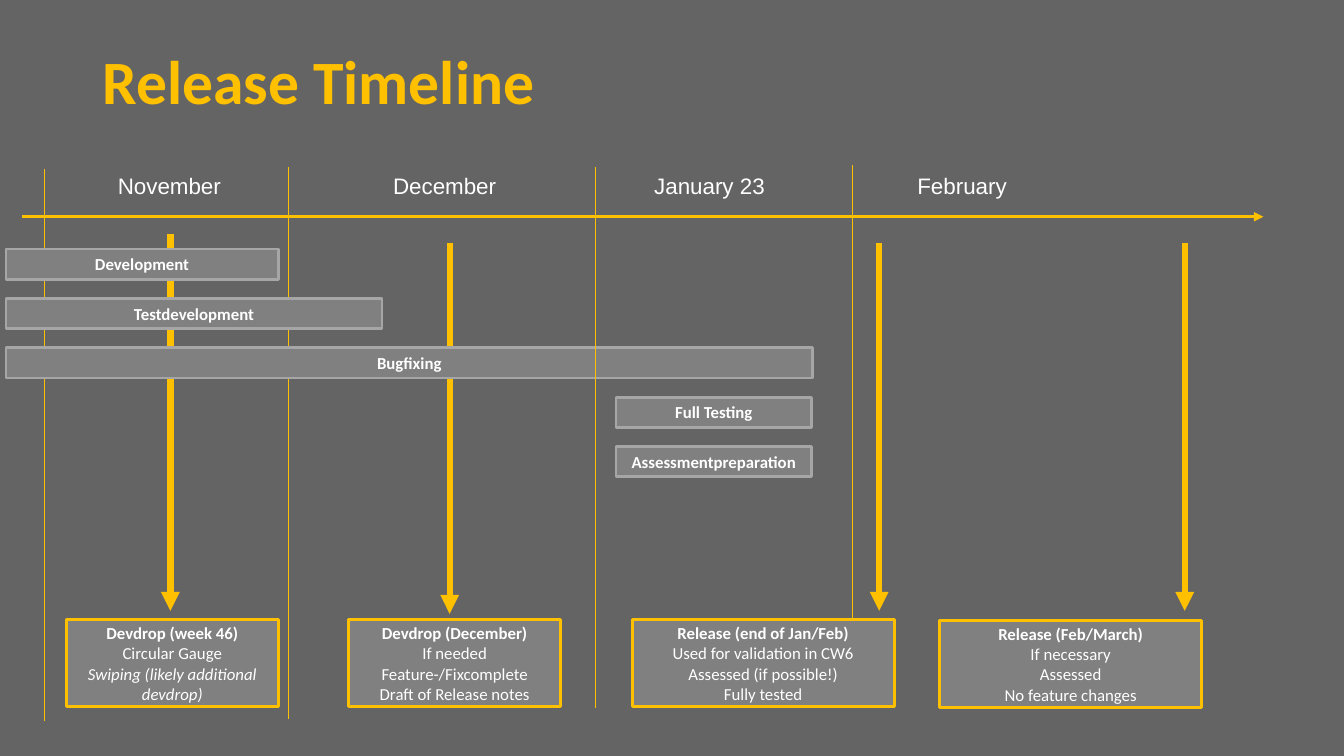
from pptx import Presentation
from pptx.dml.color import RGBColor
from pptx.enum.shapes import MSO_CONNECTOR as CONNECTOR, MSO_SHAPE as SHAPE
from pptx.enum.text import MSO_ANCHOR as ANCHOR, PP_ALIGN as ALIGN
from pptx.oxml.ns import qn
from pptx.util import Inches, Pt
from lxml.etree import SubElement

GOLD, WHITE, SLATE, GREY, SILVER = "FFC000", "FFFFFF", "646464", "808080", "A6A6A6"

# Month name, left of its label, then x, top and bottom of the line that opens it
MONTHS = [
    ("November", 1.07, 0.44, 1.68, 7.15),
    ("December", 3.8, 2.86, 1.66, 7.13),
    ("January 23", 6.39, 5.91, 1.66, 7.02),
    ("February", 9, 8.46, 1.64, 7.02),
]
# Activity, left, width: one row each
ACTIVITIES = [
    ("Development", 0.06, 2.7),
    ("Testdevelopment", 0.06, 3.73),
    ("Bugfixing", 0.06, 8),
    ("Full Testing", 6.11, 1.94),
    ("Assessmentpreparation", 6.11, 1.94),
]
# Arrow (x, top, bottom), box (left, top, width), heading, details
DELIVERIES = [
    ((1.69, 2.32, 6.06), (0.66, 6.15, 2.1), "Devdrop (week 46)",
     ["Circular Gauge", "Swiping (likely additional devdrop)"]),
    ((4.46, 2.41, 6.09), (3.46, 6.15, 2.1), "Devdrop (December)",
     ["If needed", "Feature-/Fixcomplete", "Draft of Release notes"]),
    ((8.72, 2.41, 6.06), (6.27, 6.15, 2.6), "Release (end of Jan/Feb)",
     ["Used for validation in CW6", "Assessed (if possible!)", "Fully tested"]),
    ((11.75, 2.41, 6.06), (9.32, 6.16, 2.6), "Release (Feb/March)",
     ["If necessary", "Assessed", "No feature changes"]),
]
TENTATIVE = "Swiping (likely additional devdrop)"
ROW_TOP, ROW_STEP, BAR_HEIGHT, BOX_HEIGHT = 2.47, 0.49, 0.3, 0.86
AXIS_Y = 2.15

presentation = Presentation()
presentation.slide_width, presentation.slide_height = Inches(13.33), Inches(7.5)
slide = presentation.slides.add_slide(presentation.slide_layouts[6])


def color(value):
    """Turn a hex string into a colour."""
    return RGBColor.from_string(value)


def write(shape, lines, anchor=ANCHOR.MIDDLE, align=ALIGN.CENTER):
    """Fill a shape with (text, font values) paragraphs."""
    frame = shape.text_frame
    frame.word_wrap, frame.vertical_anchor = True, anchor
    for index, (text, values) in enumerate(lines):
        paragraph = frame.paragraphs[0] if index == 0 else frame.add_paragraph()
        paragraph.alignment = align
        run = paragraph.add_run()
        run.text = text
        settings = {"name": "Calibri", "size": 12, "color": WHITE, **values}
        run.font.color.rgb = color(settings.pop("color"))
        settings["size"] = Pt(settings["size"])
        for name, value in settings.items():
            setattr(run.font, name, value)


def add_label(box, text, anchor=ANCHOR.TOP, **values):
    """Add a left-aligned text box."""
    label = slide.shapes.add_textbox(*map(Inches, box))
    write(label, [(text, values)], anchor, ALIGN.LEFT)
    return label


def add_box(box, outline, lines):
    """Add a grey rectangle with centred text."""
    shape = slide.shapes.add_shape(SHAPE.RECTANGLE, *map(Inches, box))
    shape.shadow.inherit = False
    shape.fill.solid()
    shape.fill.fore_color.rgb = color(GREY)
    shape.line.color.rgb, shape.line.width = color(outline), Pt(2)
    write(shape, lines)


def add_line(start, end, width, arrow=False):
    """Add a gold straight line, with an arrowhead at its end if asked."""
    line = slide.shapes.add_connector(CONNECTOR.STRAIGHT, *map(Inches, start + end))
    line.line.color.rgb, line.line.width = color(GOLD), Pt(width)
    if arrow:
        SubElement(line.line._get_or_add_ln(), qn("a:tailEnd"), type="triangle")
    SubElement(line._element.spPr, qn("a:effectLst"))


def add_month_lines(months):
    """Add the thin line that opens each month."""
    for _, _, x, top, bottom in months:
        add_line((x, top), (x, bottom), 0.75)


slide.background.fill.solid()
slide.background.fill.fore_color.rgb = color(SLATE)

title = add_label((0.92, 0.4, 11.5, 0.87), "Release Timeline", ANCHOR.MIDDLE,
                  size=44, color=GOLD, bold=True)
title.text_frame.paragraphs[0].line_spacing = 0.9

for (x, top, bottom), *_ in DELIVERIES:
    add_line((x, top), (x, bottom), 4.5, arrow=True)
add_line((0.22, AXIS_Y), (12.53, AXIS_Y), 2.25, arrow=True)

# The first two month lines run behind the bars, the others in front
add_month_lines(MONTHS[:2])
for row, (activity, left, width) in enumerate(ACTIVITIES):
    add_box((left, ROW_TOP + row * ROW_STEP, width, BAR_HEIGHT), SILVER,
            [(activity, {"bold": True})])
add_month_lines(MONTHS[2:])

for month, left, *_ in MONTHS:
    add_label((left, 1.66, 1.38, 0.37), month, name="Arial", size=16)

for _, box, heading, details in DELIVERIES:
    lines = [(heading, {"bold": True})]
    lines += [(detail, {"italic": detail == TENTATIVE}) for detail in details]
    add_box((*box, BOX_HEIGHT), GOLD, lines)

presentation.save("out.pptx")
